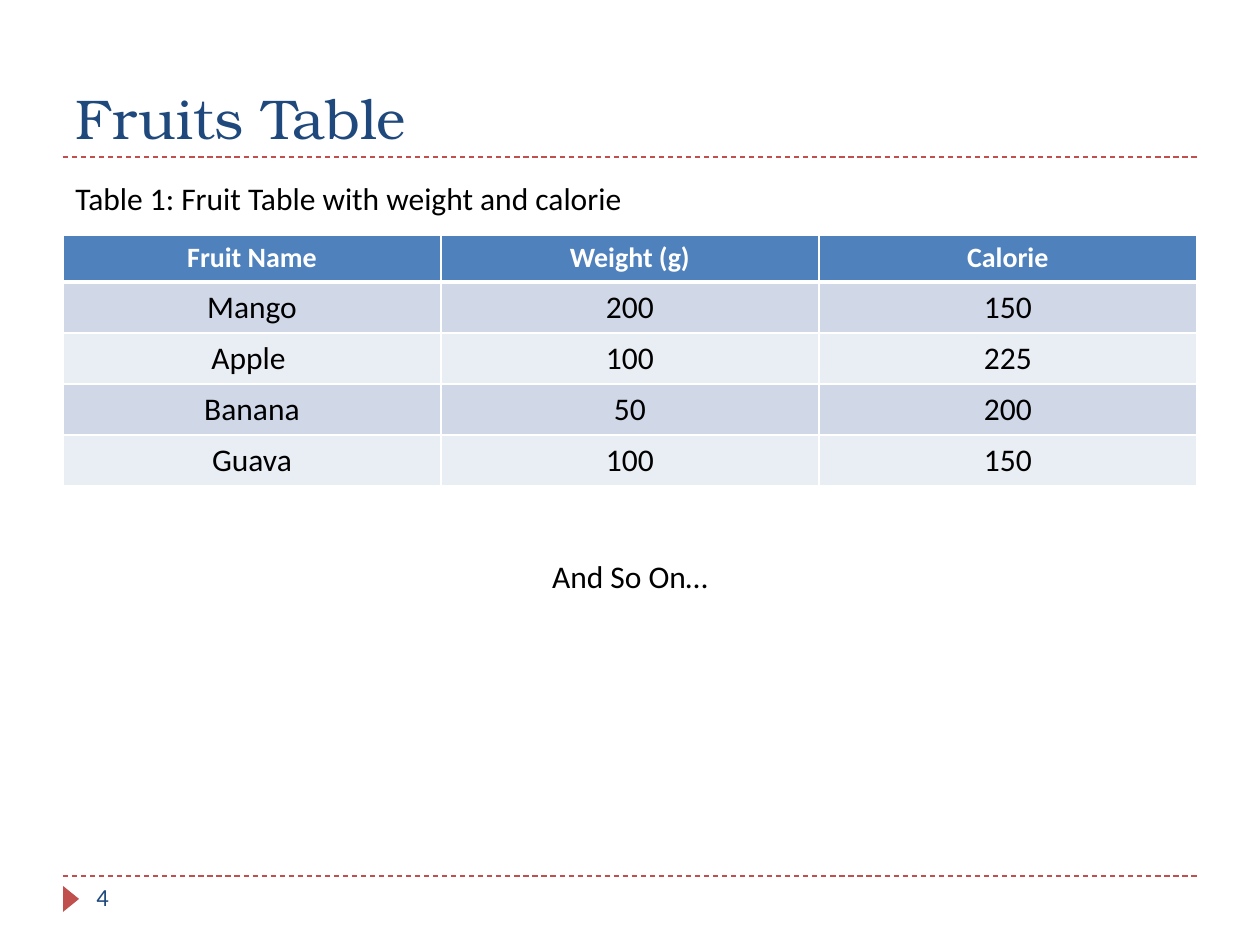
"""Build the fruit table slide."""
from typing import Any, NamedTuple

from lxml.etree import SubElement, fromstring
from pptx import Presentation
from pptx.dml.color import RGBColor as Color
from pptx.enum.dml import MSO_LINE as Dash
from pptx.enum.shapes import MSO_CONNECTOR as Connector
from pptx.enum.shapes import MSO_SHAPE as Preset
from pptx.enum.text import MSO_ANCHOR as Anchor
from pptx.enum.text import PP_ALIGN as Align
from pptx.oxml.ns import nsdecls, qn
from pptx.util import Emu, Pt

SCALE = 914400 // 126
COLORS = {
    "title": "1F497D", "accent": "C0504D", "header": "4F81BD",
    "odd": "D0D8E8", "even": "E9EDF4", "text": "000000", "white": "FFFFFF",
}
ROWS = [
    ("Fruit Name", "Weight (g)", "Calorie"),
    ("Mango", "200", "150"),
    ("Apple ", "100", "225"),
    ("Banana", "50", "200"),
    ("Guava", "100", "150"),
]
LEFT, WIDTH = 63, 1134
HEADER_HEIGHT, ROW_HEIGHT = 46, 51


class Label(NamedTuple):
    text: str
    box: tuple[int, int, int, int]
    size: int
    color: str
    align: Any


LABELS = [
    Label("4", (84, 876, 273, 50), 14, "title", Align.LEFT),
    Label("And So On…", (466, 551, 328, 50), 18, "text", Align.CENTER),
    Label("Table 1: Fruit Table with weight and calorie", (63, 173, 626, 50), 18, "text", Align.LEFT),
]


def px(*values: int) -> list[Emu]:
    return [Emu(value * SCALE) for value in values]


def color(name: str) -> Color:
    return Color.from_string(COLORS[name])


def write(frame: Any, text: str, size: int, color_name: str, align: Any,
          font_name: str = "Calibri", bold: bool = False) -> None:
    paragraph = frame.paragraphs[0]
    paragraph.alignment = align
    run = paragraph.add_run()
    run.text = text
    for name, value in {"name": font_name, "size": Pt(size), "bold": bold}.items():
        setattr(run.font, name, value)
    run.font.color.rgb = color(color_name)


def add_title(slide: Any) -> None:
    title = slide.shapes.title
    title.left, title.top, title.width, title.height = px(LEFT, 21, WIDTH, 136)
    title.text_frame.vertical_anchor = Anchor.BOTTOM
    write(title.text_frame, "Fruits Table", 32, "title", Align.LEFT, "TeX Gyre Bonum")


def add_rule(slide: Any, top: int) -> None:
    rule = slide.shapes.add_connector(Connector.STRAIGHT, *px(LEFT, top, LEFT + WIDTH, top))
    rule.line.color.rgb = color("accent")
    rule.line.width = Pt(0.75)
    rule.line.dash_style = Dash.DASH
    SubElement(rule.element.spPr, qn("a:effectLst"))


def add_marker(slide: Any) -> None:
    marker = slide.shapes.add_shape(Preset.ISOSCELES_TRIANGLE, *px(58, 891, 26, 16))
    marker.rotation = 90
    marker.shadow.inherit = False
    marker.fill.solid()
    marker.fill.fore_color.rgb = color("accent")
    marker.line.fill.background()


def add_label(slide: Any, label: Label) -> None:
    frame = slide.shapes.add_textbox(*px(*label.box)).text_frame
    frame.word_wrap = True
    write(frame, label.text, label.size, label.color, label.align)


def add_borders(cell: Any, row: int) -> None:
    widths = {"lnL": 1, "lnR": 1, "lnT": 3 if row == 1 else 1, "lnB": 3 if row == 0 else 1}
    properties = cell._tc.get_or_add_tcPr()
    for index, (tag, width) in enumerate(widths.items()):
        properties.insert(index, fromstring(
            f'<a:{tag} {nsdecls("a")} w="{Pt(width)}"><a:solidFill>'
            f'<a:srgbClr val="{COLORS["white"]}"/></a:solidFill></a:{tag}>'))


def add_fruit_table(slide: Any) -> None:
    height = HEADER_HEIGHT + ROW_HEIGHT * (len(ROWS) - 1)
    table = slide.shapes.add_table(len(ROWS), len(ROWS[0]), *px(LEFT, 235, WIDTH, height)).table
    for row, values in enumerate(ROWS):
        is_header = row == 0
        table.rows[row].height = px(HEADER_HEIGHT if is_header else ROW_HEIGHT)[0]
        fill = "header" if is_header else "odd" if row % 2 else "even"
        for column, value in enumerate(values):
            cell = table.cell(row, column)
            cell.fill.solid()
            cell.fill.fore_color.rgb = color(fill)
            add_borders(cell, row)
            write(cell.text_frame, value, 16 if is_header else 18,
                  "white" if is_header else "text", Align.CENTER, bold=is_header)


def main() -> None:
    presentation = Presentation()
    presentation.slide_width, presentation.slide_height = px(1260, 945)
    slide = presentation.slides.add_slide(presentation.slide_layouts[5])
    for top in (876, 157):
        add_rule(slide, top)
    add_marker(slide)
    add_title(slide)
    add_fruit_table(slide)
    for label in LABELS:
        add_label(slide, label)
    presentation.save("out.pptx")


main()
